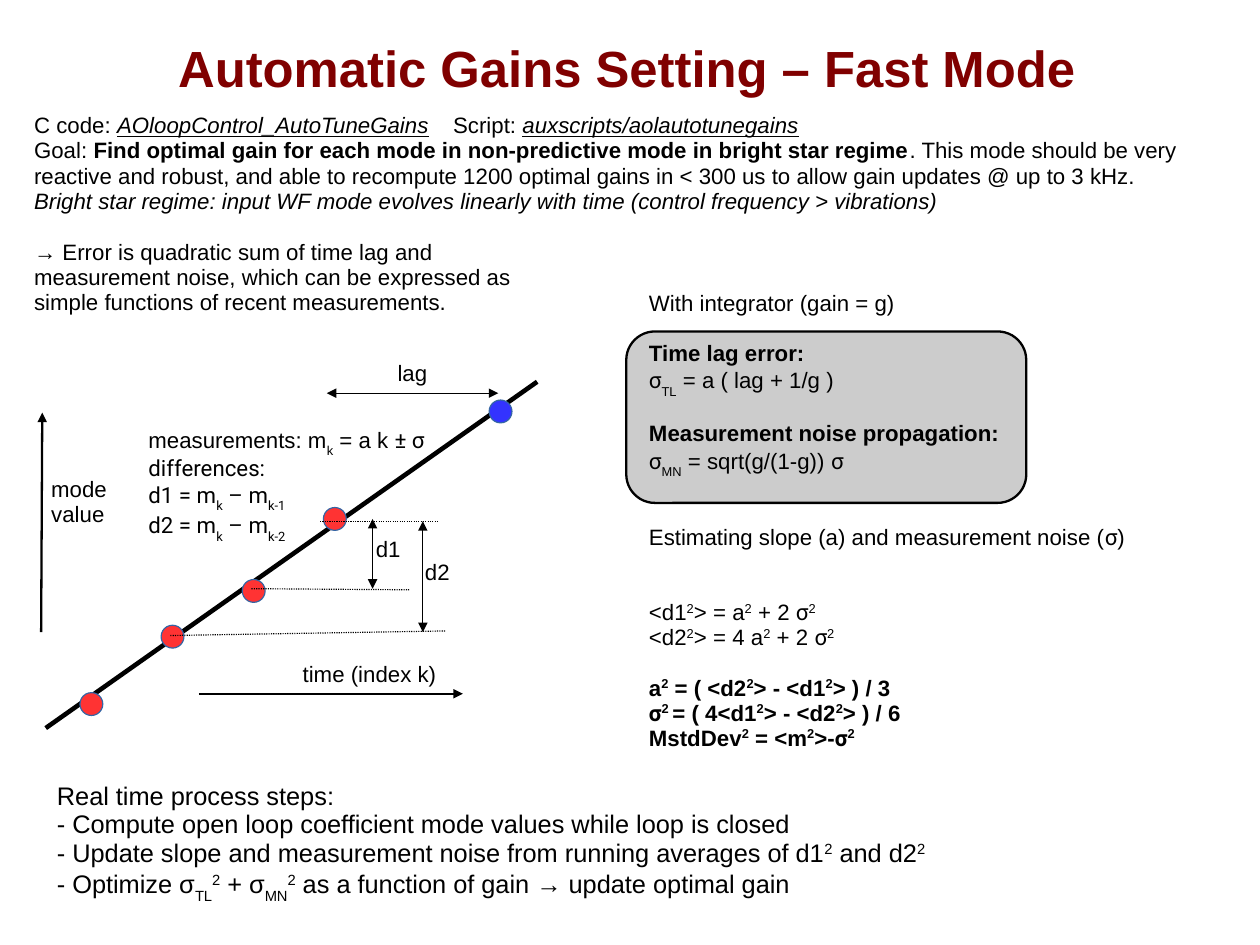
"""Build the slide on automatic gains setting in fast mode."""
from dataclasses import dataclass, replace
from typing import NamedTuple

from lxml.etree import SubElement
from pptx import Presentation
from pptx.dml.color import RGBColor
from pptx.enum.dml import MSO_LINE_DASH_STYLE as Dash
from pptx.enum.shapes import MSO_CONNECTOR as Connector, MSO_SHAPE as Preset
from pptx.enum.text import MSO_ANCHOR as Anchor, PP_ALIGN as Align
from pptx.oxml.ns import qn
from pptx.util import Pt

BLACK, MAROON, GREY = "000000", "800000", "CCCCCC"
RED, BLUE, DOT_EDGE = "FF3333", "3333FF", "3465A4"
BLANK_LINE = 15.75


@dataclass(frozen=True)
class Span:
    text: str
    bold: bool = False
    italic: bool = False
    underline: bool = False
    base: int = 0
    font: str = "Arial"


@dataclass(frozen=True)
class Para:
    spans: list[Span]
    before: float = 0
    tab: float = 0


@dataclass(frozen=True)
class TextBox:
    left: float
    top: float
    width: float
    height: float
    paras: list[Para]
    size: float = 14
    wrap: bool = False
    color: str = BLACK
    title: bool = False


class Dot(NamedTuple):
    left: float
    top: float
    fill: str


class Line(NamedTuple):
    x1: float
    y1: float
    x2: float
    y2: float
    width: float = 0.75
    heads: tuple[str, ...] = ()
    dotted: bool = False


def rgb(color: str) -> RGBColor:
    return RGBColor.from_string(color)


def sub(text: str, font: str = "Arial") -> Span:
    return Span(text, base=-33000, font=font)


def roboto(text: str) -> Span:
    return Span(text, font="Roboto")


def bold(*spans: Span) -> list[Span]:
    return [replace(span, bold=True) for span in spans]


def plain(text: str, before: float = 0) -> Para:
    return Para([Span(text)], before)


SQUARED = Span("2", base=33000)
SIGMA = roboto("σ")


def difference(name: str, index: str) -> Para:
    return Para([roboto(f"{name} = m"), sub("k", "Roboto"), roboto(" – m"), sub(index, "Roboto")])


def mean_square(name: str, slope: str, before: float = 0) -> Para:
    return Para([Span(f"<{name}"), SQUARED, Span(f"> = {slope}"), SQUARED,
                 Span(" + 2 "), SIGMA, SQUARED], before)


def add_text(page, item: TextBox) -> None:
    box = page.shapes.add_textbox(Pt(item.left), Pt(item.top), Pt(item.width), Pt(item.height))
    frame = box.text_frame
    frame.word_wrap = item.wrap
    if item.title:
        frame.vertical_anchor = Anchor.MIDDLE
        frame.margin_left = frame.margin_right = frame.margin_top = frame.margin_bottom = 0
    for number, entry in enumerate(item.paras):
        para = frame.add_paragraph() if number else frame.paragraphs[0]
        para.alignment = Align.CENTER if item.title else Align.LEFT
        para.line_spacing = 0.94
        if entry.before:
            para.space_before = Pt(entry.before)
        if entry.tab:
            tabs = SubElement(para._p.get_or_add_pPr(), qn("a:tabLst"))
            SubElement(tabs, qn("a:tab"), pos=str(Pt(entry.tab)), algn="l")
        for part in entry.spans:
            span = para.add_run()
            span.text = part.text
            font = span.font
            font.name, font.size = part.font, Pt(item.size)
            font.bold, font.italic, font.underline = part.bold, part.italic, part.underline
            font.color.rgb = rgb(item.color)
            if part.base:
                span._r.get_or_add_rPr().set("baseline", str(part.base))


def add_preset(page, preset: Preset, frame: tuple[float, ...], fill: str, edge: str, width: float) -> None:
    shape = page.shapes.add_shape(preset, *map(Pt, frame))
    shape.shadow.inherit = False
    shape.fill.solid()
    shape.fill.fore_color.rgb = rgb(fill)
    shape.line.color.rgb = rgb(edge)
    shape.line.width = Pt(width)


def add_line(page, item: Line) -> None:
    line = page.shapes.add_connector(Connector.STRAIGHT, *map(Pt, item[:4]))
    line.line.color.rgb = rgb(BLACK)
    line.line.width = Pt(item.width)
    if item.dotted:
        line.line.dash_style = Dash.ROUND_DOT
    for end in item.heads:
        SubElement(line.line._get_or_add_ln(), qn(f"a:{end}"), type="triangle")
    SubElement(line._element.spPr, qn("a:effectLst"))


SLOPE = Line(28.8, 458.64, 338.4, 240.48, 2.89)
DOTS = [Dot(50.4 + 51.12 * k, top, RED) for k, top in enumerate((436.32, 393.84, 365.04, 319.68))]
DOTS.append(Dot(308.16, 252, BLUE))
ONE, BOTH = ("tailEnd",), ("headEnd", "tailEnd")
LINES = [
    Line(125.28, 437.04, 291.6, 437.04, 1.45, ONE),
    Line(25.92, 398.16, 26.64, 259.92, 1.45, ONE),
    Line(205.92, 247.68, 313.92, 247.68, heads=BOTH),
    Line(234.72, 326.88, 234.72, 370.8, heads=BOTH),
    Line(266.4, 328.32, 266.4, 398.16, heads=BOTH),
    Line(201.6, 328.32, 275.76, 328.32, dotted=True),
    Line(158.4, 370.8, 257.76, 371.52, dotted=True),
    Line(107.28, 400.32, 280.8, 397.44, dotted=True),
]
TEXTS = [
    TextBox(39.6, 23.76, 711.36, 41.04, [Para(bold(Span("Automatic Gains Setting – Fast Mode")))],
            32, True, MAROON, True),
    TextBox(14.4, 68.2, 756, 110.16, [
        Para([Span("C code: "), Span("AOloopControl_AutoTuneGains", italic=True, underline=True),
              Span("\tScript: "), Span("auxscripts/aolautotunegains", italic=True, underline=True)], tab=264),
        Para([Span("Goal: "),
              *bold(Span("Find optimal gain for each mode in non-predictive mode in bright star regime")),
              Span(". This mode should be very reactive and robust, and able to recompute 1200 optimal gains "
                   "in < 300 us to allow gain updates @ up to 3 kHz.")]),
        Para([Span("Bright star regime: input WF mode evolves linearly with time "
                   "(control frequency > vibrations)", italic=True)])], wrap=True),
    TextBox(14.4, 148.1, 338.4, 64.8, [
        plain("→ Error is quadratic sum of time lag and measurement noise, which can be expressed as "
              "simple functions of recent measurements.")], wrap=True),
    TextBox(183.6, 413.8, 99.5, 23.76, [plain("time (index k)")]),
    TextBox(25.2, 297.2, 57.6, 39.6, [plain("mode value")], wrap=True),
    TextBox(86.4, 264.8, 190, 84.96, [
        Para([Span("measurements: m"), sub("k"), Span(" = a k "), roboto("± σ")]),
        Para([roboto("differences:")]), difference("d1", "k-1"), difference("d2", "k-2")]),
    TextBox(243.36, 224.4, 34, 23.76, [plain("lag")]),
    TextBox(229.68, 334.8, 31, 23.76, [plain("d1")]),
    TextBox(260.64, 349.2, 31, 23.76, [plain("d2")]),
    TextBox(401.76, 180, 237, 127.44, [
        plain("With integrator (gain = g)"),
        Para(bold(Span("Time lag error:")), BLANK_LINE),
        Para([SIGMA, sub("TL"), Span(" = a ( lag + 1/g )")]),
        Para(bold(Span("Measurement noise propagation:")), BLANK_LINE),
        Para([SIGMA, sub("MN"), Span(" = sqrt(g/(1-g)) "), SIGMA])]),
    TextBox(401.76, 327.6, 316, 162, [
        Para([Span("Estimating slope (a) and measurement noise ("), SIGMA, Span(")")]),
        mean_square("d1", "a", 2 * BLANK_LINE),
        mean_square("d2", "4 a"),
        Para(bold(Span("a"), SQUARED, Span(" = ( <d2"), SQUARED, Span("> - <d1"), SQUARED,
                  Span("> ) / 3")), BLANK_LINE),
        Para(bold(SIGMA, replace(SQUARED, text="2 "), Span("= ( 4<d1"), SQUARED, Span("> - <d2"), SQUARED,
                  Span("> ) / 6"))),
        Para(bold(Span("MstdDev"), SQUARED, Span(" = <m"), SQUARED, Span(">-"), SIGMA, SQUARED))]),
    TextBox(28.8, 489.2, 561.6, 84.96, [
        plain("Real time process steps:"),
        plain("- Compute open loop coefficient mode values while loop is closed"),
        Para([Span("- Update slope and measurement noise from running averages of d1"), SQUARED,
              Span(" and d2"), SQUARED]),
        Para([Span("- Optimize σ"), sub("TL"), SQUARED, Span(" + σ"), sub("MN"), SQUARED,
              Span(" as a function of gain → update optimal gain")])], 16),
]


def main() -> None:
    deck = Presentation()
    deck.slide_width, deck.slide_height = Pt(793.75), Pt(595.25)
    page = deck.slides.add_slide(deck.slide_layouts[6])
    add_preset(page, Preset.ROUNDED_RECTANGLE, (394.56, 208.8, 252, 108), GREY, BLACK, 1.45)
    add_line(page, SLOPE)
    for dot in DOTS:
        add_preset(page, Preset.OVAL, (dot.left, dot.top, 14.4, 14.4), dot.fill, DOT_EDGE, 0.75)
    for line in LINES:
        add_line(page, line)
    for text in TEXTS:
        add_text(page, text)
    deck.save("out.pptx")


if __name__ == "__main__":
    main()
